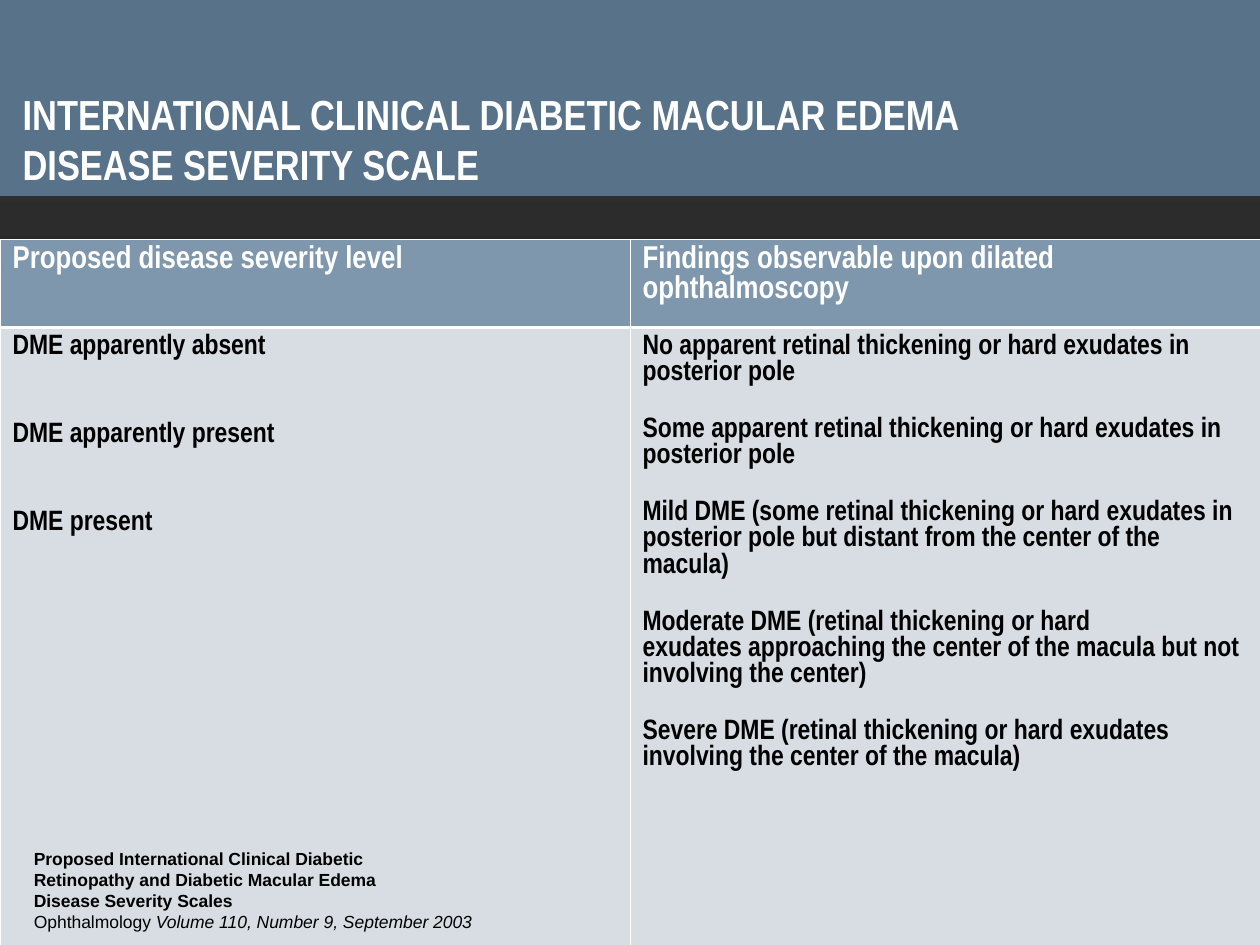
from dataclasses import dataclass

from lxml.etree import SubElement
from pptx import Presentation
from pptx.dml.color import RGBColor
from pptx.enum.shapes import MSO_SHAPE
from pptx.enum.text import MSO_ANCHOR, PP_ALIGN
from pptx.oxml.ns import qn
from pptx.util import Inches, Pt


@dataclass(frozen=True)
class Theme:
    banner: str = "577289"
    header: str = "7E97AD"
    body: str = "D8DDE3"
    light: str = "FFFFFF"
    dark: str = "000000"
    background_top: str = "383838"
    narrow_font: str = "Arial Narrow"
    source_font: str = "Arial"
    title_size: float = 24
    header_size: float = 18
    body_size: float = 16
    source_size: float = 10
    thin_border: float = 0.45
    thick_border: float = 1.47


@dataclass(frozen=True)
class TextStyle:
    font: str
    size: float
    color: str


@dataclass(frozen=True)
class Run:
    text: str
    bold: bool = True
    italic: bool = False


@dataclass(frozen=True)
class Line:
    runs: tuple[Run, ...]
    space_after: float = 0


@dataclass(frozen=True)
class CellContent:
    lines: list[Line]
    style: TextStyle
    fill: str
    top_border: float
    bottom_border: float


THEME = Theme()
TITLE_STYLE = TextStyle(THEME.narrow_font, THEME.title_size, THEME.light)
HEADER_STYLE = TextStyle(THEME.narrow_font, THEME.header_size, THEME.light)
BODY_STYLE = TextStyle(THEME.narrow_font, THEME.body_size, THEME.dark)
SOURCE_STYLE = TextStyle(THEME.source_font, THEME.source_size, THEME.dark)
LEVEL_GAP = 35.4
FINDING_GAP = 17.5


def bold_lines(*texts: str, gap: float = 0) -> list[Line]:
    return [Line((Run(text),), gap) for text in texts]


TITLE = bold_lines(
    "INTERNATIONAL CLINICAL DIABETIC MACULAR EDEMA", "DISEASE SEVERITY SCALE"
)
HEADERS = [
    bold_lines("Proposed disease severity level"),
    bold_lines("Findings observable upon dilated", "ophthalmoscopy"),
]
LEVELS = bold_lines(
    "DME apparently absent", "DME apparently present", "DME present", gap=LEVEL_GAP
)
FINDINGS = [
    *bold_lines(
        "No apparent retinal thickening or hard exudates in posterior pole",
        "Some apparent retinal thickening or hard exudates in posterior pole",
        "Mild DME (some retinal thickening or hard exudates in posterior pole "
        "but distant from the center of the macula)",
        gap=FINDING_GAP,
    ),
    *bold_lines("Moderate DME (retinal thickening or hard"),
    *bold_lines(
        "exudates approaching the center of the macula but not involving the center)",
        "Severe DME (retinal thickening or hard exudates involving the center "
        "of the macula)",
        gap=FINDING_GAP,
    ),
]
SOURCE = [
    *bold_lines(
        "Proposed International Clinical Diabetic",
        "Retinopathy and Diabetic Macular Edema",
        "Disease Severity Scales",
    ),
    Line((
        Run("Ophthalmology ", bold=False),
        Run("Volume 110, Number 9, September 2003", bold=False, italic=True),
    )),
]


def write_lines(text_frame, lines: list[Line], style: TextStyle) -> None:
    text_frame.word_wrap = True
    for index, line in enumerate(lines):
        paragraph = text_frame.add_paragraph() if index else text_frame.paragraphs[0]
        paragraph.alignment = PP_ALIGN.LEFT
        paragraph.space_after = Pt(line.space_after)
        for part in line.runs:
            run = paragraph.add_run()
            run.text = part.text
            run.font.name = style.font
            run.font.size = Pt(style.size)
            run.font.bold = part.bold
            run.font.italic = part.italic
            run.font.color.rgb = RGBColor.from_string(style.color)


def set_borders(cell, top: float, bottom: float) -> None:
    properties = cell._tc.get_or_add_tcPr()
    widths = {"lnL": THEME.thin_border, "lnR": THEME.thin_border,
              "lnT": top, "lnB": bottom}
    for side, width in widths.items():
        border = SubElement(properties, qn(f"a:{side}"), w=str(Pt(width)))
        fill = SubElement(border, qn("a:solidFill"))
        SubElement(fill, qn("a:srgbClr"), val=THEME.light)


def fill_cell(cell, content: CellContent) -> None:
    set_borders(cell, content.top_border, content.bottom_border)
    cell.fill.solid()
    cell.fill.fore_color.rgb = RGBColor.from_string(content.fill)
    write_lines(cell.text_frame, content.lines, content.style)


def paint_background(slide) -> None:
    fill = slide.background.fill
    fill.gradient()
    fill.gradient_angle = 270
    for stop, color in zip(fill.gradient_stops, (THEME.background_top, THEME.dark)):
        stop.color.rgb = RGBColor.from_string(color)


def add_banner(slide) -> None:
    banner = slide.shapes.add_shape(
        MSO_SHAPE.RECTANGLE, Inches(0), Inches(0), Inches(10), Inches(1.55)
    )
    banner.shadow.inherit = False
    banner.fill.solid()
    banner.fill.fore_color.rgb = RGBColor.from_string(THEME.banner)
    banner.line.color.rgb = RGBColor.from_string(THEME.banner)
    banner.line.width = Pt(0.75)
    banner.text_frame.vertical_anchor = MSO_ANCHOR.BOTTOM
    banner.text_frame.margin_left = Inches(0.18)
    write_lines(banner.text_frame, TITLE, TITLE_STYLE)


def add_severity_table(slide) -> None:
    table = slide.shapes.add_table(
        2, 2, Inches(0), Inches(1.9), Inches(10), Inches(5.67)
    ).table
    for row, height in zip(table.rows, (0.7, 4.97)):
        row.height = Inches(height)
    for column, (header, body) in enumerate(zip(HEADERS, (LEVELS, FINDINGS))):
        fill_cell(table.cell(0, column), CellContent(
            header, HEADER_STYLE, THEME.header, THEME.thin_border, THEME.thick_border))
        fill_cell(table.cell(1, column), CellContent(
            body, BODY_STYLE, THEME.body, THEME.thick_border, THEME.thin_border))


def add_source(slide) -> None:
    box = slide.shapes.add_textbox(
        Inches(0.17), Inches(6.68), Inches(7.33), Inches(1.54)
    )
    write_lines(box.text_frame, SOURCE, SOURCE_STYLE)


def main() -> None:
    presentation = Presentation()
    presentation.slide_width = Inches(10)
    presentation.slide_height = Inches(7.5)
    slide = presentation.slides.add_slide(presentation.slide_layouts[6])
    paint_background(slide)
    add_banner(slide)
    add_severity_table(slide)
    add_source(slide)
    presentation.save("out.pptx")


if __name__ == "__main__":
    main()
